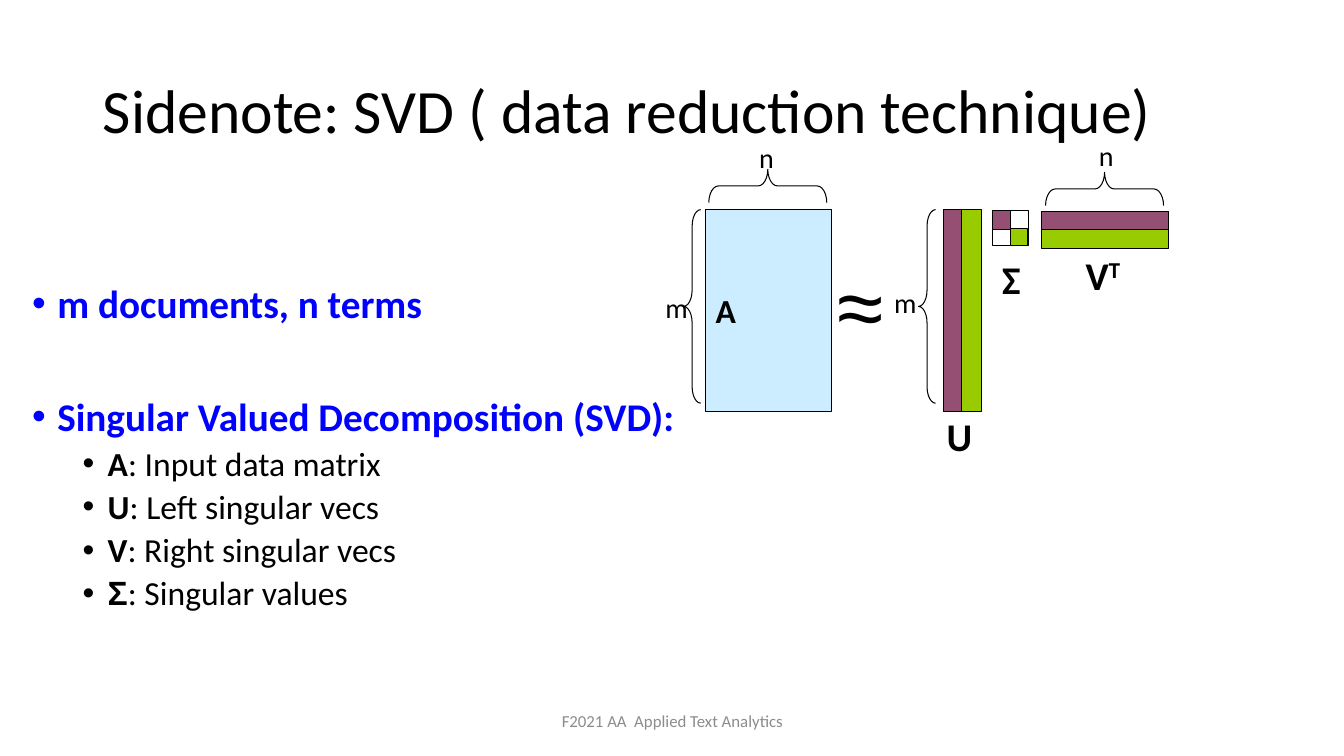
"""Build the slide on SVD as a data reduction technique."""
from dataclasses import dataclass

from lxml import etree
from pptx import Presentation
from pptx.dml.color import RGBColor
from pptx.enum.shapes import MSO_SHAPE
from pptx.enum.text import MSO_ANCHOR, MSO_AUTO_SIZE, PP_ALIGN
from pptx.oxml.ns import qn
from pptx.util import Inches, Pt

RECT = MSO_SHAPE.RECTANGLE
BRACE = MSO_SHAPE.LEFT_BRACE
MIDDLE = MSO_ANCHOR.MIDDLE
LEFT, CENTER = PP_ALIGN.LEFT, PP_ALIGN.CENTER
NO_FIT = MSO_AUTO_SIZE.NONE

BLACK = RGBColor(0x00, 0x00, 0x00)
WHITE = RGBColor(0xFF, 0xFF, 0xFF)
BLUE = RGBColor(0x00, 0x00, 0xFF)
PALE_BLUE = RGBColor(0xCC, 0xEC, 0xFF)
PURPLE = RGBColor(0x95, 0x4F, 0x72)
GREEN = RGBColor(0x99, 0xCC, 0x00)
GREY = RGBColor(0x8C, 0x8C, 0x8C)


@dataclass
class Block:
    x: float
    y: float
    w: float
    h: float
    fill: RGBColor


@dataclass
class Brace:
    x: float
    y: float
    w: float
    h: float
    curve: float
    rotation: int = 0


@dataclass
class Label:
    text: str
    x: float
    y: float
    w: float
    h: float
    size: int
    bold: bool = False
    font: str = "Calibri"


@dataclass
class Bullet:
    term: str
    rest: str = ""
    before: float = 5
    font: str = "Calibri"


MATRIX_A = Block(7, 2.08, 1.25, 2, PALE_BLUE)
BLOCKS = [
    Block(9.84, 2.09, 0.36, 0.35, WHITE),
    Block(9.84, 2.09, 0.18, 0.19, PURPLE),
    Block(10.02, 2.27, 0.17, 0.17, GREEN),
    Block(9.36, 2.08, 0.18, 2, PURPLE),
    Block(9.54, 2.08, 0.19, 2, GREEN),
    Block(10.33, 2.1, 1.26, 0.18, PURPLE),
    Block(10.33, 2.28, 1.26, 0.19, GREEN),
]
BRACES = [
    Brace(6.78, 2.08, 0.17, 1.92, 0.96),
    Brace(9.11, 2.08, 0.17, 1.92, 0.96),
    Brace(7.45, 1.26, 0.33, 1.17, 0.29, 90),
    Brace(10.79, 1.29, 0.33, 1.17, 0.29, 90),
]
LABELS = [
    Label("m", 6.5, 2.83, 0.43, 0.43, 20),
    Label("m", 8.77, 2.78, 0.43, 0.43, 20),
    Label("n", 7.43, 1.34, 0.36, 0.43, 20),
    Label("n", 10.8, 1.32, 0.36, 0.43, 20),
    Label("Σ", 9.84, 2.48, 0.43, 0.57, 28, True),
    Label("U", 9.29, 4.04, 0.48, 0.57, 28, True),
    Label("≈", 8.21, 2.47, 1.07, 1.1, 60, False, "Arial"),
]
V_LABEL = Label("V", 10.67, 2.44, 0.66, 0.57, 28, True)
BULLETS = [
    Bullet("m documents, n terms", before=0),
    Bullet("Singular Valued Decomposition (SVD):", before=50.76),
    Bullet("A", ": Input data matrix"),
    Bullet("U", ": Left singular vecs"),
    Bullet("V", ": Right singular vecs"),
    Bullet("Σ", ": Singular values", font="Arial"),
]


def style(r, size: int, color: RGBColor = BLACK, bold: bool = False, font: str = "Calibri") -> None:
    r.font.size, r.font.bold, r.font.name = Pt(size), bold, font
    r.font.color.rgb = color


def add_block(s, block: Block):
    sp = s.shapes.add_shape(RECT, Inches(block.x), Inches(block.y), Inches(block.w), Inches(block.h))
    sp.shadow.inherit = False
    sp.fill.solid()
    sp.fill.fore_color.rgb = block.fill
    sp.line.color.rgb, sp.line.width = BLACK, Pt(0.75)
    return sp


def add_brace(s, brace: Brace) -> None:
    sp = s.shapes.add_shape(BRACE, Inches(brace.x), Inches(brace.y), Inches(brace.w), Inches(brace.h))
    sp.shadow.inherit = False
    sp.fill.background()
    sp.line.color.rgb, sp.line.width = BLACK, Pt(0.75)
    sp.adjustments[0] = brace.curve
    sp.rotation = brace.rotation


def add_label(s, label: Label):
    sp = s.shapes.add_textbox(Inches(label.x), Inches(label.y), Inches(label.w), Inches(label.h))
    p = sp.text_frame.paragraphs[0]
    p.text = label.text
    style(p.runs[0], label.size, BLACK, label.bold, label.font)
    return p


def add_bullet(p, bullet: Bullet) -> None:
    p.text = bullet.term
    nested = bool(bullet.rest)
    size, color = (24, BLACK) if nested else (28, BLUE)
    style(p.runs[0], size, color, True, bullet.font)
    if nested:
        r = p.add_run()
        r.text = bullet.rest
        style(r, size, color)
    p.level = int(nested)
    p.line_spacing, p.space_before = 0.9, Pt(bullet.before)
    pPr = p._p.get_or_add_pPr()
    pPr.set("marL", str(Inches(0.75 if nested else 0.25)))
    pPr.set("indent", str(Inches(-0.25)))
    etree.SubElement(pPr, qn("a:buFont")).set("typeface", "Arial")
    etree.SubElement(pPr, qn("a:buChar")).set("char", "•")


def add_title(s) -> None:
    sp = s.shapes.title
    sp.left, sp.top, sp.width, sp.height = Inches(0.92), Inches(0.4), Inches(11.5), Inches(1.45)
    tf = sp.text_frame
    tf.text = "Sidenote: SVD ( data reduction technique)"
    tf.vertical_anchor, tf.auto_size = MIDDLE, NO_FIT
    p = tf.paragraphs[0]
    p.alignment, p.line_spacing = LEFT, 0.9
    style(p.runs[0], 44)


def add_body(s) -> None:
    tf = s.shapes.add_textbox(Inches(0.22), Inches(1.64), Inches(9.38), Inches(5.86)).text_frame
    tf.word_wrap, tf.margin_top = True, Inches(1.18)
    for i, bullet in enumerate(BULLETS):
        add_bullet(tf.add_paragraph() if i else tf.paragraphs[0], bullet)


def add_footer(s) -> None:
    tf = s.shapes.add_textbox(Inches(4.42), Inches(6.95), Inches(4.5), Inches(0.4)).text_frame
    tf.text = "F2021 AA  Applied Text Analytics"
    tf.word_wrap, tf.vertical_anchor = True, MIDDLE
    p = tf.paragraphs[0]
    p.alignment = CENTER
    style(p.runs[0], 12, GREY)


def main() -> None:
    prs = Presentation()
    prs.slide_width, prs.slide_height = Inches(13.33), Inches(7.5)
    s = prs.slides.add_slide(prs.slide_layouts[5])
    add_title(s)
    add_body(s)
    tf = add_block(s, MATRIX_A).text_frame
    tf.text = "A"
    tf.vertical_anchor = MIDDLE
    p = tf.paragraphs[0]
    p.alignment = LEFT
    style(p.runs[0], 24, BLACK, True)
    for block in BLOCKS:
        add_block(s, block)
    for brace in BRACES:
        add_brace(s, brace)
    for label in LABELS:
        add_label(s, label)
    r = add_label(s, V_LABEL).add_run()
    r.text = "T"
    style(r, V_LABEL.size, BLACK, True)
    r._r.get_or_add_rPr().set("baseline", "30000")
    add_footer(s)
    prs.save("out.pptx")


if __name__ == "__main__":
    main()
